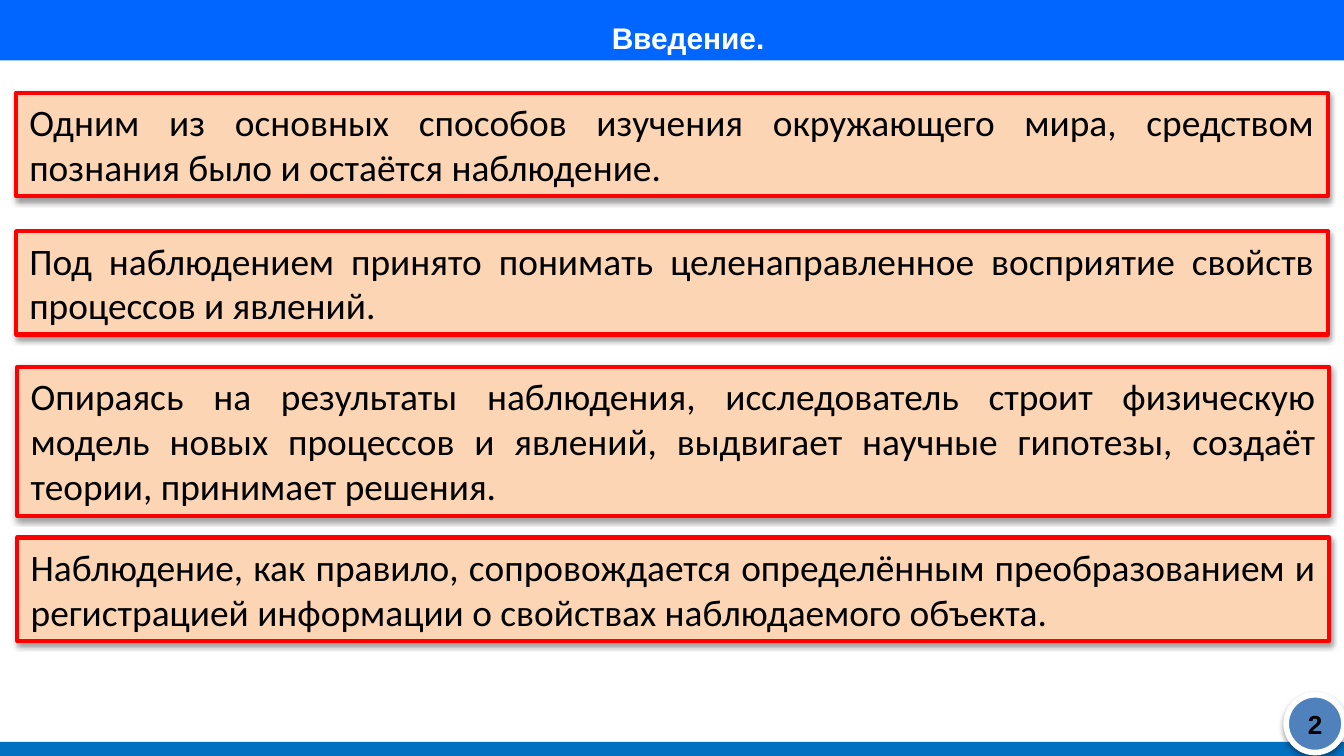
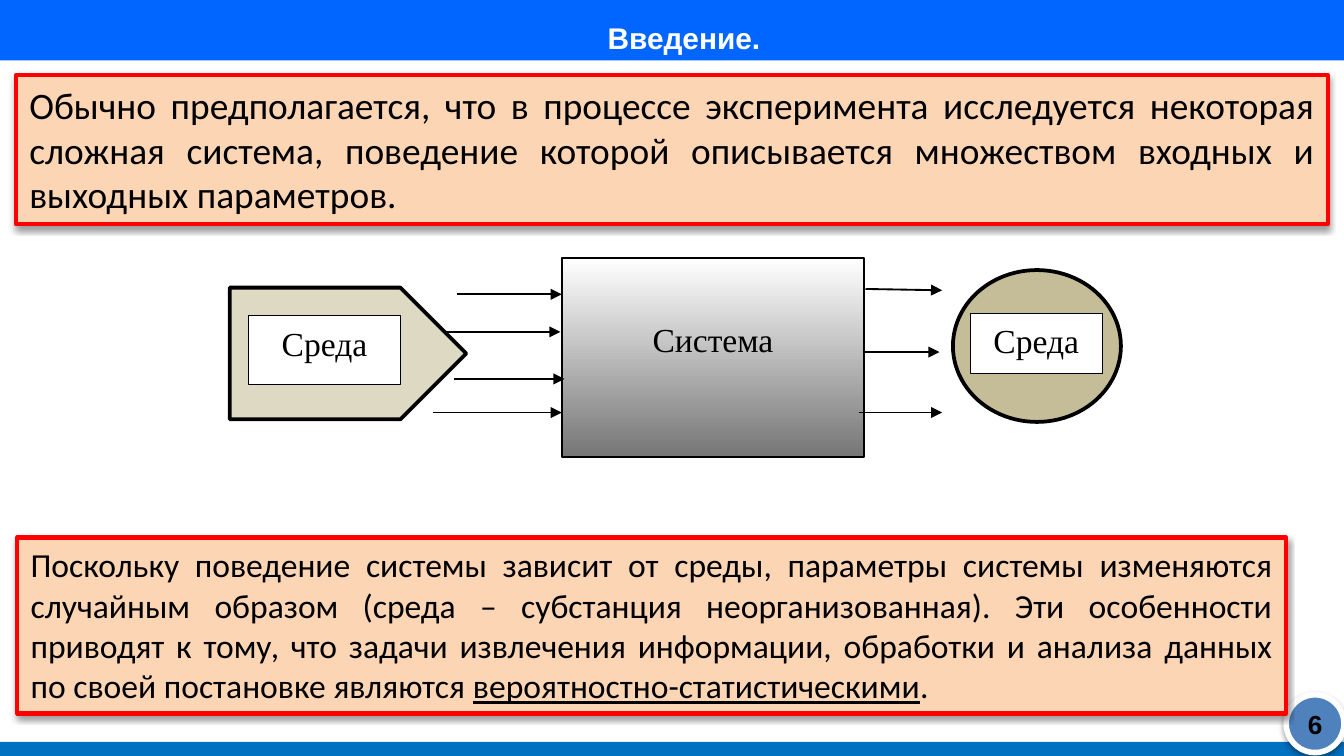
from lxml import etree
from pptx import Presentation
from pptx import util as u
from pptx.dml.color import RGBColor
from pptx.enum import shapes as sh, text as tx
from pptx.oxml import ns

COLS, ROWS = 10, 5.625          # the slide's grid; one cell is one inch
KIND, ALIGN, ANCHOR = sh.MSO_SHAPE, tx.PP_ALIGN, tx.MSO_ANCHOR
BLUE, DEEP, BADGE = "0066FF", "0070C0", "4F81BD"
PEACH, RED, BLACK, WHITE = "FCD5B5", "FF0000", "000000", "FFFFFF"
SAND, KHAKI, GREY = "DDD9C3", "C4BD97", "767676"
SERIF = dict(name="Times New Roman", size=u.Pt(18))
BADGE_BOX = (9.57, 5.17, 0.43, 0.43)


# Shared helpers
def color(code):
    return RGBColor.from_string(code)


def place(*cells):
    return [u.Inches(c) for c in cells]


def style(obj, values):
    for key, val in values.items():
        setattr(obj, key, val)


def node(parent, tag, **attrs):
    return etree.SubElement(parent, ns.qn(tag), attrs)


def cast(shape):
    """Soft shadow straight below the shape."""
    glow = node(shape._element.spPr.find(ns.qn("a:effectLst")), "a:outerShdw",
                blurRad="40000", dist="20000", dir="5400000", rotWithShape="0")
    node(node(glow, "a:srgbClr", val=BLACK), "a:alpha", val="38000")


def draw(page, kind, box, fill, line=None, width=1):
    shape = page.shapes.add_shape(kind, *place(*box))
    shape.shadow.inherit = False
    shape.fill.solid()
    shape.fill.fore_color.rgb = color(fill)
    if line:
        shape.line.color.rgb = color(line)
        shape.line.width = u.Pt(width)
    else:
        shape.line.fill.background()
    return shape


def write(shape, runs, font, align=ALIGN.CENTER, code=BLACK, **frame):
    """Fill one paragraph; each run is a text and whether it is underlined."""
    body = shape.text_frame
    style(body, dict(word_wrap=True, vertical_anchor=ANCHOR.TOP, **frame)
          if "vertical_anchor" not in frame else dict(word_wrap=True, **frame))
    par = body.paragraphs[0]
    par.alignment = align
    for words, under in runs:
        run = par.add_run()
        run.text = words
        style(run.font, dict(font, underline=under))
        run.font.color.rgb = color(code)


# Bands and badge, kept on the layout
def furnish(layout, page):
    parts = [draw(page, KIND.RECTANGLE, (0, 0, COLS, 0.45), BLUE),
             draw(page, KIND.RECTANGLE, (0, 5.52, COLS, 0.11), DEEP),
             draw(page, KIND.OVAL, BADGE_BOX, BADGE, WHITE, 3)]
    cast(parts[-1])
    for num, part in enumerate(parts, 20):
        part._element.nvSpPr.cNvPr.set("id", str(num))
        layout.shapes._spTree.append(part._element)


# Title and page number
def head(page, words, number):
    title = page.shapes.title
    style(title, dict(zip(("left", "top", "width", "height"),
                          place(0.77, -0.02, 8.48, 0.47))))
    write(title, [(words, False)],
          dict(name="Arial", size=u.Pt(16), bold=True), code=WHITE,
          vertical_anchor=ANCHOR.MIDDLE, auto_size=tx.MSO_AUTO_SIZE.NONE,
          margin_left=u.Inches(0.22), margin_right=0,
          margin_top=u.Inches(0.13), margin_bottom=0)
    left, top, wide, _ = BADGE_BOX
    label = page.shapes.add_textbox(*place(left, top + 0.07, wide, 0.3))
    write(label, [(number, False)],
          dict(name="Arial", size=u.Pt(14), bold=True),
          vertical_anchor=ANCHOR.MIDDLE)


# Framed statement
def panel(page, box, runs, size=20):
    shape = draw(page, KIND.RECTANGLE, box, PEACH, RED, 2.25)
    cast(shape)
    write(shape, runs, dict(name="Calibri", size=u.Pt(size)), ALIGN.JUSTIFY,
          auto_size=tx.MSO_AUTO_SIZE.SHAPE_TO_FIT_TEXT)


def arrow(page, start, end):
    line = page.shapes.add_connector(sh.MSO_CONNECTOR.STRAIGHT,
                                     *place(*start, *end))
    line.line.color.rgb = color(BLACK)
    line.line.width = u.Pt(1)
    node(line.line._get_or_add_ln(), "a:tailEnd", type="triangle")
    node(line._element.spPr, "a:effectLst")


# Environment, system and the arrows between them
def scheme(page, left, top):
    def at(x, y, *size):
        return (left + x, top + y, *size)

    def flow(rows):
        for x, y, end, drop in rows:
            arrow(page, at(x, y), at(end, y + drop))

    flow([(1.66, 0.60, 2.56, 0), (1.79, 0.32, 2.57, 0),
          (1.61, 1.20, 2.57, 0)])
    core = draw(page, KIND.RECTANGLE, at(2.57, 0.05, 2.25, 1.48),
                WHITE, BLACK)
    core.fill.gradient()
    core.fill.gradient_angle = 270
    for stop, code in zip(core.fill.gradient_stops, (WHITE, GREY)):
        stop.color.rgb = color(code)
    write(core, [("Система", False)], SERIF, margin_top=u.Inches(0.45))
    flow([(1.77, 0.95, 2.59, 0), (4.78, 1.20, 5.40, 0),
          (4.83, 0.28, 5.40, 0.01), (4.81, 0.75, 5.38, 0)])

    for kind, box, fill, tag in (
            (KIND.PENTAGON, (0.10, 0.27, 1.76, 0.98), SAND,
             (0.24, 0.48, 1.13, 0.51)),
            (KIND.OVAL, (5.48, 0.14, 1.25, 1.13), KHAKI,
             (5.61, 0.46, 0.98, 0.45))):
        draw(page, kind, at(*box), fill, BLACK, 2)
        label = draw(page, KIND.RECTANGLE, at(*tag), WHITE, BLACK, 0.5)
        write(label, [("Среда", False)], SERIF)


deck = Presentation()
deck.slide_width, deck.slide_height = place(COLS, ROWS)
layout = deck.slide_layouts[5]

# Slide: what observation is
first = deck.slides.add_slide(layout)
furnish(layout, first)
head(first, "Введение.", "2")
for left, top, high, words in (
        (0.12, 0.69, 0.77,
         "Одним из основных способов изучения окружающего мира, средством "
         "познания было и остаётся наблюдение."),
        (0.12, 1.72, 0.77,
         "Под наблюдением принято понимать целенаправленное восприятие "
         "свойств процессов и явлений."),
        (0.13, 2.73, 1.11,
         "Опираясь на результаты наблюдения, исследователь строит физическую "
         "модель новых процессов и явлений, выдвигает научные гипотезы, "
         "создаёт теории, принимает решения. "),
        (0.13, 4, 0.77,
         "Наблюдение, как правило, сопровождается определённым "
         "преобразованием и регистрацией информации о свойствах "
         "наблюдаемого объекта. ")):
    panel(first, (left, top, 9.76, high), [(words, False)])

# Slide: the system and its environment
second = deck.slides.add_slide(layout)
head(second, "Введение. ", "6")
panel(second, (0.12, 0.56, 9.76, 1.11), [
    ("Обычно предполагается, что в процессе эксперимента исследуется "
     "некоторая сложная система, поведение которой описывается множеством "
     "входных и выходных параметров.", False)])
panel(second, (0.13, 4, 9.44, 1.31), [
    ("Поскольку поведение системы зависит от среды, параметры системы "
     "изменяются случайным образом (среда – субстанция неорганизованная). "
     "Эти особенности приводят к тому, что задачи извлечения информации, "
     "обработки и анализа данных по своей постановке являются ", False),
    ("вероятностно-статистическими", True), (".", False)], 18)
scheme(second, 1.61, 1.87)

deck.save("out.pptx")
